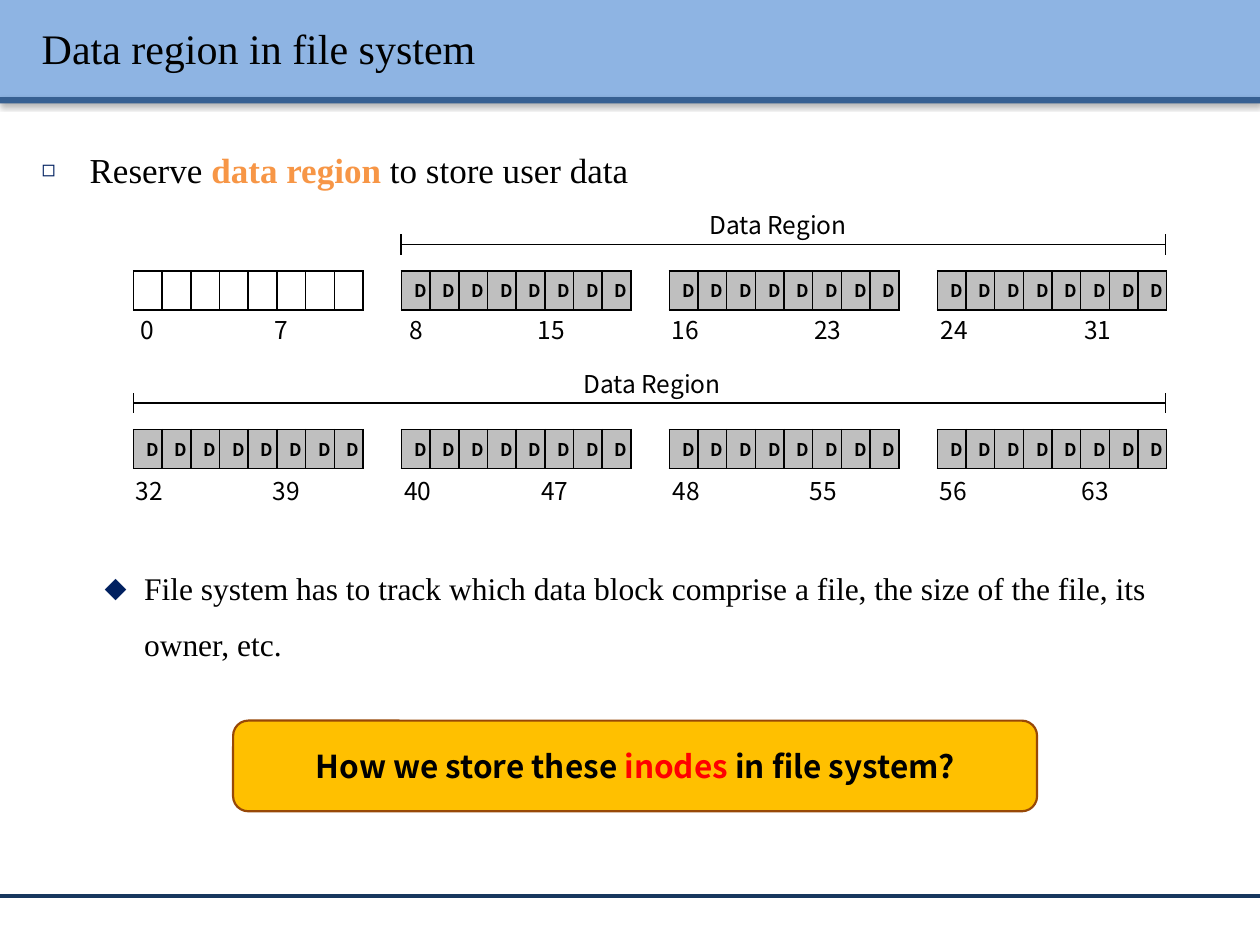
from lxml import etree
from pptx import Presentation
from pptx.dml.color import RGBColor
from pptx.enum.shapes import MSO_CONNECTOR, MSO_SHAPE
from pptx.enum.text import MSO_ANCHOR, MSO_AUTO_SIZE, PP_ALIGN
from pptx.oxml.ns import qn
from pptx.util import Pt

LINE, RECT, ROUND = MSO_CONNECTOR.STRAIGHT, MSO_SHAPE.RECTANGLE, MSO_SHAPE.ROUNDED_RECTANGLE
LEFT, CENTER = PP_ALIGN.LEFT, PP_ALIGN.CENTER
TOP, MIDDLE, FIXED = MSO_ANCHOR.TOP, MSO_ANCHOR.MIDDLE, MSO_AUTO_SIZE.NONE

BLACK = RGBColor(0x00, 0x00, 0x00)
WHITE = RGBColor(0xFF, 0xFF, 0xFF)
GRAY = RGBColor(0xBF, 0xBF, 0xBF)
SKY = RGBColor(0x8E, 0xB4, 0xE3)
BLUE = RGBColor(0x37, 0x60, 0x92)
NAVY = RGBColor(0x17, 0x37, 0x5E)
INK = RGBColor(0x00, 0x20, 0x60)
ORANGE = RGBColor(0xF7, 0x96, 0x46)
GOLD = RGBColor(0xFF, 0xC0, 0x00)
BROWN = RGBColor(0x98, 0x48, 0x07)
RED = RGBColor(0xFF, 0x00, 0x00)

SERIF, SANS = "Times New Roman", "Noto Sans CJK KR"
WIDE = 720
COLS, CELL, ROW = 8, 16.4, 22.3
FIRST, PITCH = 76.3, 153.1


def place(shape, box):
    shape.left, shape.top, shape.width, shape.height = map(Pt, box)


def style(para, face, size, color=BLACK, bold=False):
    font = para.font
    font.name, font.size, font.bold = face, Pt(size), bold
    font.color.rgb = color


def add(parent, tag, **attrs):
    return etree.SubElement(parent, qn(tag), {k: str(v) for k, v in attrs.items()})


def shade(props, blur, dist, angle, alpha):
    effect = add(props, "a:effectLst")
    outer = add(effect, "a:outerShdw", blurRad=Pt(blur), dist=Pt(dist),
                dir=angle * 60000, algn="tl", rotWithShape=0)
    add(add(outer, "a:srgbClr", val=BLACK), "a:alpha", val=alpha * 1000)


def rule(slide, x1, y1, x2, y2, color=BLACK, width=1):
    line = slide.shapes.add_connector(LINE, Pt(x1), Pt(y1), Pt(x2), Pt(y2))
    line.line.color.rgb, line.line.width = color, Pt(width)
    add(line.element.spPr, "a:effectLst")


def label(slide, text, box, tab=None):
    shape = slide.shapes.add_textbox(*map(Pt, box))
    shape.text_frame.word_wrap = True
    para = shape.text_frame.paragraphs[0]
    para.text = text
    if tab:
        stops = add(para._p.get_or_add_pPr(), "a:tabLst")
        add(stops, "a:tab", pos=Pt(tab), algn="l")
    style(para, SANS, 14)


def frame(slide):
    # Header band with its lower edge, and footer rule
    for top, height, color in ((0, 55.5, SKY), (55.5, 3.6, BLUE)):
        bar = slide.shapes.add_shape(RECT, 0, Pt(top), Pt(WIDE), Pt(height))
        bar.fill.solid()
        bar.fill.fore_color.rgb = color
        bar.line.fill.background()
        shade(bar.element.spPr, 3.1, 1.6, 90, 38)
    rule(slide, 0, 512, WIDE, 512, NAVY, 2)


def heading(slide, box):
    title = slide.shapes.title
    place(title, box)
    title.element.getparent().append(title.element)
    text = title.text_frame
    text.auto_size, text.vertical_anchor = FIXED, MIDDLE
    para = text.paragraphs[0]
    run = para.add_run()
    run.text = "Data region in file system"
    para.alignment = LEFT
    style(para, SERIF, 24)
    shade(run._r.get_or_add_rPr(), 1, 1, 45, 50)


def bullet(para, mark, scale, left, hang):
    props = para._p.get_or_add_pPr()
    props.set("marL", str(Pt(left)))
    props.set("indent", str(Pt(-hang)))
    add(add(props, "a:buClr"), "a:srgbClr", val=INK)
    add(props, "a:buSzPct", val=scale * 1000)
    add(props, "a:buChar", char=mark)


def points(slide, box):
    body = slide.placeholders[1]
    place(body, box)
    body.element.getparent().append(body.element)
    text = body.text_frame
    text.auto_size, text.vertical_anchor = FIXED, TOP
    items = (
        (0, 4, "◻", 65, 27.4, 27.4, 20,
         (("Reserve ", BLACK), ("data region ", ORANGE), ("to store user data", BLACK))),
        (1, 205.5, "⬥", 100, 58.5, 22.5, 18,
         (("File system has to track which data block comprise a file, "
           "the size of the file, its owner, etc.", BLACK),)),
    )
    for level, gap, mark, scale, left, hang, size, parts in items:
        para = text.add_paragraph() if level else text.paragraphs[0]
        para.level, para.line_spacing, para.space_before = level, 1.5, Pt(gap)
        bullet(para, mark, scale, left, hang)
        style(para, SERIF, size)
        for words, color in parts:
            run = para.add_run()
            run.text = words
            run.font.color.rgb = color
            run.font.bold = color == ORANGE


def edge(cell):
    props = cell._tc.get_or_add_tcPr()
    for spot, side in enumerate(("a:lnL", "a:lnR", "a:lnT", "a:lnB")):
        line = etree.Element(qn(side), w=str(Pt(1)))
        add(add(line, "a:solidFill"), "a:srgbClr", val=BLACK)
        props.insert(spot, line)


def group(slide, left, top, used):
    # Eight disk blocks side by side
    table = slide.shapes.add_table(1, COLS, Pt(left), Pt(top), Pt(COLS * CELL), Pt(ROW)).table
    table.first_row = table.horz_banding = False
    table.rows[0].height = Pt(ROW)
    for col, cell in zip(table.columns, table.rows[0].cells):
        col.width = Pt(CELL)
        cell.margin_left, cell.margin_right = Pt(7.2), Pt(2)
        cell.margin_top = cell.margin_bottom = 0
        cell.vertical_anchor = MIDDLE
        cell.fill.solid()
        cell.fill.fore_color.rgb = GRAY if used else WHITE
        edge(cell)
        para = cell.text_frame.paragraphs[0]
        if used:
            para.text = "D"
        para.alignment = CENTER
        style(para, SANS, 10, bold=True)


def blocks(slide, top, start, marks, drop):
    # Each mark is the left side of a number pair and its tab stop
    for i, (left, tab) in enumerate(marks):
        low = start + i * COLS
        group(slide, FIRST + i * PITCH, top, low > 0)
        label(slide, f"{low}\t{low + COLS - 1}", (left, top + drop, 149, 24.5), tab)


def span(slide, left, right, y, name):
    # Region bracket with end ticks
    rule(slide, left, y, right, y)
    for x in (left, right):
        rule(slide, x, y - 5.8, x, y + 5.8)
    label(slide, "Data Region", (name, y - 23, 98, 24.5))


def callout(slide, box):
    shape = slide.shapes.add_shape(ROUND, *map(Pt, box))
    shape.shadow.inherit = False
    shape.fill.solid()
    shape.fill.fore_color.rgb = GOLD
    shape.line.color.rgb, shape.line.width = BROWN, Pt(1.25)
    text = shape.text_frame
    text.word_wrap, text.vertical_anchor = True, MIDDLE
    para = text.paragraphs[0]
    para.alignment = CENTER
    style(para, SANS, 18, bold=True)
    for words, color in (("How we store these ", BLACK), ("inodes", RED),
                         (" in file system?", BLACK)):
        run = para.add_run()
        run.text = words
        run.font.color.rgb = color


def main():
    deck = Presentation()
    deck.slide_width, deck.slide_height = Pt(WIDE), Pt(540)
    slide = deck.slides.add_slide(deck.slide_layouts[1])
    frame(slide)
    heading(slide, (16.6, 4.3, 692, 46))
    points(slide, (16.6, 69.1, 692, 433.4))
    blocks(slide, 154.8, 0, ((73.4, 76.5), (226.8, 73.5), (376.6, 81.7), (530.6, 82)), 21.6)
    blocks(slide, 245.5, 32, ((70.6, 78.3), (223.9, 78.3), (377.3, 78.3), (529.9, 81)), 23)
    span(slide, 229, 666, 139.7, 398.2)
    span(slide, FIRST, 666, 230.4, 326.2)
    callout(slide, (133.2, 411.8, 459.4, 51.8))
    deck.save("out.pptx")


if __name__ == "__main__":
    main()
